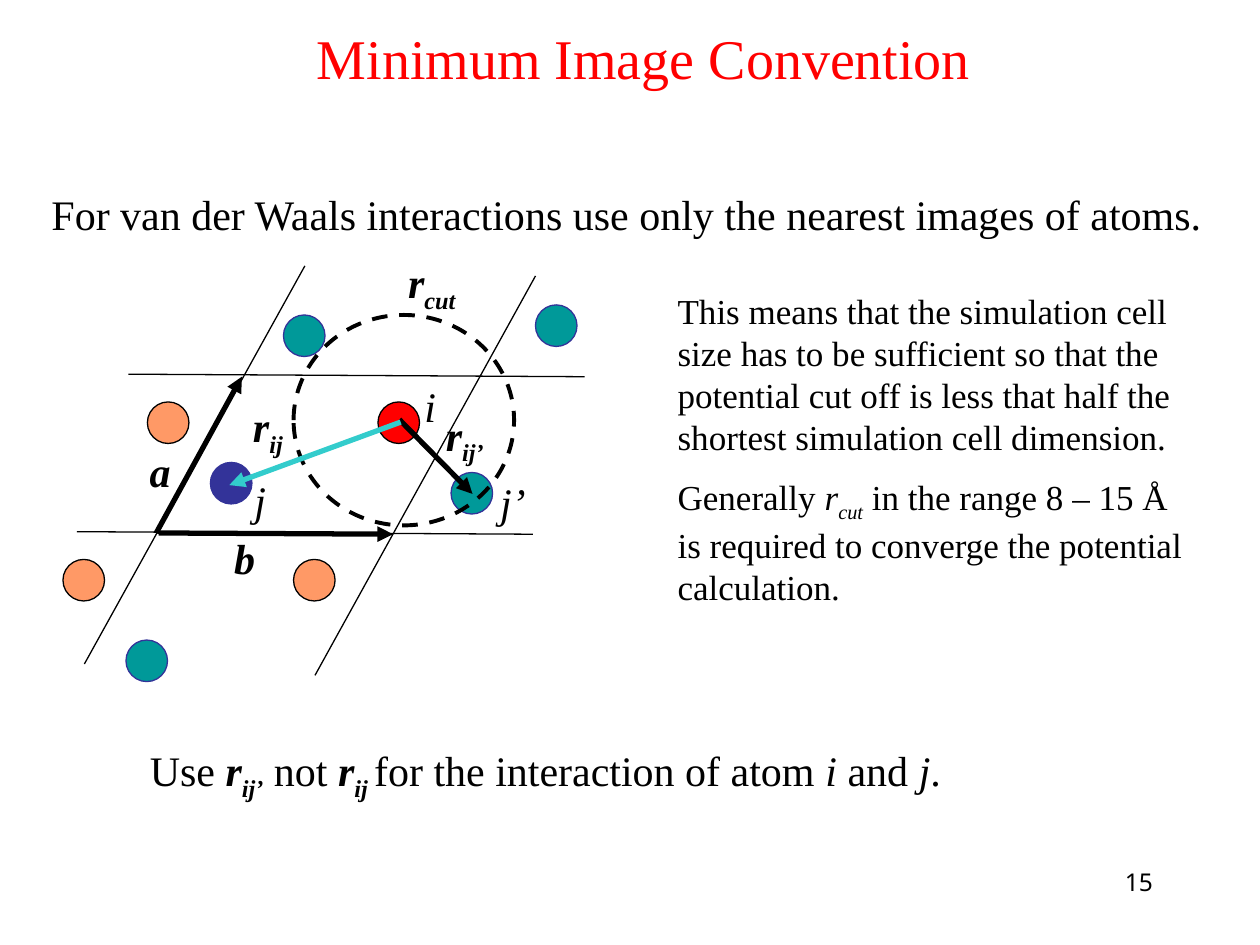
from dataclasses import dataclass
from typing import Optional

from lxml import etree
from pptx import Presentation
from pptx.dml.color import RGBColor
from pptx.enum.dml import MSO_LINE
from pptx.enum.shapes import MSO_CONNECTOR, MSO_SHAPE
from pptx.enum.text import MSO_ANCHOR, MSO_AUTO_SIZE, PP_ALIGN
from pptx.oxml.ns import qn
from pptx.util import Inches, Pt

STRAIGHT = MSO_CONNECTOR.STRAIGHT
OVAL = MSO_SHAPE.OVAL
DASH = MSO_LINE.DASH
MIDDLE = MSO_ANCHOR.MIDDLE
NO_FIT, GROW = MSO_AUTO_SIZE.NONE, MSO_AUTO_SIZE.SHAPE_TO_FIT_TEXT
LEFT, CENTER, RIGHT = PP_ALIGN.LEFT, PP_ALIGN.CENTER, PP_ALIGN.RIGHT


@dataclass(frozen=True)
class Theme:
    font: str = "Times New Roman"
    number_font: str = "Noto Sans"
    black: str = "000000"
    red: str = "FF0000"
    orange: str = "FF9966"
    navy: str = "333399"
    teal: str = "009999"
    aqua: str = "33CCCC"
    title: int = 32
    text: int = 24
    body: int = 20
    number: int = 14
    thin: float = 0.75
    medium: float = 2.25
    thick: float = 3
    atom: float = 0.33


T = Theme()


@dataclass(frozen=True)
class Run:
    text: str
    bold: bool = False
    italic: bool = False
    sub: bool = False


@dataclass(frozen=True)
class Atom:
    x: float
    y: float
    fill: str
    line: str


@dataclass(frozen=True)
class Line:
    x1: float
    y1: float
    x2: float
    y2: float
    color: str = T.black


@dataclass(frozen=True)
class Label:
    x: float
    y: float
    w: float
    runs: list[Run]
    wrap: bool = True


def vector(sub: str) -> list[Run]:
    return [Run("r", bold=True, italic=True), Run(sub, bold=True, italic=True, sub=True)]


def write(tf, paragraphs: list[list[Run]], size: int = T.text, font: str = T.font,
          color: str = T.black, align=LEFT, gap: float = 0, wrap: bool = True, fit=GROW) -> None:
    tf.word_wrap = wrap
    tf.auto_size = fit
    for n, runs in enumerate(paragraphs):
        p = tf.add_paragraph() if n else tf.paragraphs[0]
        p.alignment = align
        p.space_before = Pt(gap if n else 0)
        for run in runs:
            r = p.add_run()
            r.text = run.text
            r.font.name, r.font.size = font, Pt(size)
            r.font.bold, r.font.italic = run.bold, run.italic
            r.font.color.rgb = RGBColor.from_string(color)
            if run.sub:
                r._r.get_or_add_rPr().set("baseline", "-25000")


def add_text(shapes, x: float, y: float, w: float, h: float,
             paragraphs: list[list[Run]], **fmt) -> None:
    tb = shapes.add_textbox(Inches(x), Inches(y), Inches(w), Inches(h))
    write(tb.text_frame, paragraphs, **fmt)


def add_line(shapes, line: Line, width: float = T.thin, arrow: bool = False) -> None:
    cx = shapes.add_connector(STRAIGHT, Inches(line.x1), Inches(line.y1),
                              Inches(line.x2), Inches(line.y2))
    cx.line.color.rgb = RGBColor.from_string(line.color)
    cx.line.width = Pt(width)
    if arrow:
        etree.SubElement(cx.line._get_or_add_ln(), qn("a:tailEnd"), type="triangle")
    etree.SubElement(cx._element.spPr, qn("a:effectLst"))


def add_circle(shapes, x: float, y: float, w: float, h: float, line: str,
               fill: Optional[str] = None, width: float = T.thin, dash=None) -> None:
    sp = shapes.add_shape(OVAL, Inches(x), Inches(y), Inches(w), Inches(h))
    sp.shadow.inherit = False
    if fill:
        sp.fill.solid()
        sp.fill.fore_color.rgb = RGBColor.from_string(fill)
    else:
        sp.fill.background()
    sp.line.color.rgb = RGBColor.from_string(line)
    sp.line.width = Pt(width)
    if dash:
        sp.line.dash_style = dash


LATTICE = [
    Line(2.42, 2.11, 0.67, 5.27),
    Line(4.25, 2.19, 2.5, 5.36),
    Line(4.64, 2.99, 1.02, 2.97),
    Line(4.23, 4.24, 0.61, 4.22),
]
ATOMS = [
    Atom(3, 3.19, T.red, T.black),
    *[Atom(x, y, T.orange, T.black) for x, y in [(1.17, 3.19), (2.33, 4.44), (0.5, 4.44)]],
    Atom(1.67, 3.67, T.navy, T.navy),
    *[Atom(x, y, T.teal, T.navy)
      for x, y in [(2.25, 2.5), (4.25, 2.42), (3.58, 3.75), (1, 5.08)]],
]
VECTORS = [
    Line(3.17, 3.33, 3.75, 3.92),
    Line(1.26, 4.23, 3.12, 4.24),
    Line(1.24, 4.23, 1.92, 2.99),
    Line(3.18, 3.35, 1.82, 3.85, T.aqua),
]
LABELS = [
    Label(0.31, 1.45, 9.42,
          [Run("For van der Waals interactions use only the nearest images of atoms.")]),
    Label(3.27, 2.97, 0.28, [Run("i", italic=True)]),
    Label(1.92, 3.72, 0.34, [Run("j", italic=True)]),
    Label(3.87, 3.73, 0.61, [Run("j’", italic=True)]),
    Label(1.09, 3.49, 0.7, [Run("a", bold=True, italic=True)]),
    Label(1.76, 4.18, 0.7, [Run("b", bold=True, italic=True)]),
    Label(3.44, 3.2, 0.53, vector("ij’"), wrap=False),
    Label(1.91, 3.13, 0.46, vector("ij")),
    Label(3.14, 1.99, 0.68, vector("cut")),
    Label(1.09, 5.86, 6.59,
          [Run("Use "), *vector("ij’"), Run(" not "), *vector("ij "),
           Run("for the interaction of atom "), Run("i", italic=True), Run(" and "),
           Run("j", italic=True), Run(".")], wrap=False),
]
EXPLANATION = [
    [Run("This means that the simulation cell size has to be sufficient so that the potential "
         "cut off is less that half the shortest simulation cell dimension.")],
    [Run("Generally "), Run("r", italic=True), Run("cut", italic=True, sub=True),
     Run(" in the range 8 – 15 Å is required to converge the potential calculation.")],
]


def main() -> None:
    prs = Presentation()
    prs.slide_width, prs.slide_height = Inches(10), Inches(7.5)
    s = prs.slides.add_slide(prs.slide_layouts[5])
    title = s.shapes.title
    title.left, title.top = Inches(0.86), Inches(-0.17)
    title.width, title.height = Inches(8.5), Inches(1.25)
    title.text_frame.vertical_anchor = MIDDLE
    write(title.text_frame, [[Run("Minimum Image Convention")]], size=T.title,
          color=T.red, align=CENTER, fit=NO_FIT)

    lattice = s.shapes.add_group_shape()
    for line in LATTICE:
        add_line(lattice.shapes, line)
    for atom in ATOMS:
        add_circle(s.shapes, atom.x, atom.y, T.atom, T.atom, atom.line, atom.fill)
    add_circle(s.shapes, 2.33, 2.5, 1.75, 1.67, T.black, width=T.medium, dash=DASH)
    for line in VECTORS:
        add_line(s.shapes, line, T.thick, arrow=True)
    for label in LABELS:
        add_text(s.shapes, label.x, label.y, label.w, 0.5, [label.runs], wrap=label.wrap)
    add_text(s.shapes, 5.28, 2.25, 4.3, 2.63, EXPLANATION, size=T.body, gap=10)
    add_text(s.shapes, 7.17, 6.83, 2.08, 0.5, [[Run("15")]], size=T.number,
             font=T.number_font, align=RIGHT, fit=NO_FIT)
    prs.save("out.pptx")


if __name__ == "__main__":
    main()
